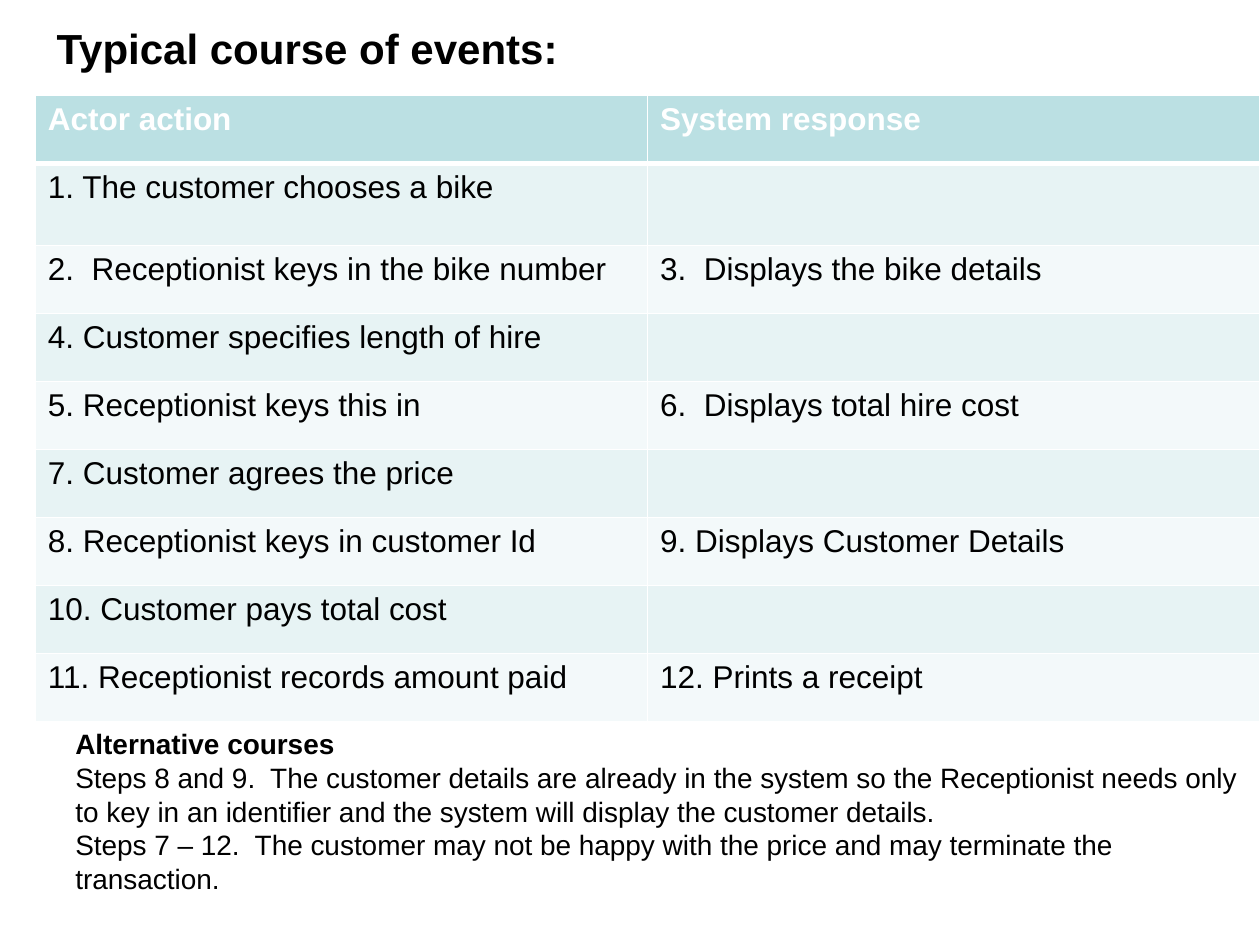
from lxml import etree
from pptx import Presentation
from pptx.dml.color import RGBColor
from pptx.enum.text import MSO_ANCHOR, PP_ALIGN
from pptx.oxml.ns import qn
from pptx.util import Inches, Pt

LEFT = PP_ALIGN.LEFT
MIDDLE = MSO_ANCHOR.MIDDLE
BLACK = RGBColor(0x00, 0x00, 0x00)
WHITE = RGBColor(0xFF, 0xFF, 0xFF)
HEADER_FILL = RGBColor(0xBB, 0xE0, 0xE3)
BAND_FILLS = [RGBColor(0xF3, 0xF9, 0xFA), RGBColor(0xE7, 0xF3, 0xF4)]
FONT = "Arial"

TITLE = "Typical course of events:"
EVENTS = [
    ("Actor action", "System response"),
    ("1. The customer chooses a bike", ""),
    ("2.  Receptionist keys in the bike number", "3.  Displays the bike details"),
    ("4. Customer specifies length of hire", ""),
    ("5. Receptionist keys this in", "6.  Displays total hire cost"),
    ("7. Customer agrees the price", ""),
    ("8. Receptionist keys in customer Id", "9. Displays Customer Details"),
    ("10. Customer pays total cost", ""),
    ("11. Receptionist records amount paid", "12. Prints a receipt"),
]
ALTERNATIVES = [
    "Alternative courses",
    "Steps 8 and 9.  The customer details are already in the system so the Receptionist "
    "needs only to key in an identifier and the system will display the customer details.",
    "Steps 7 – 12.  The customer may not be happy with the price and may terminate the "
    "transaction.",
]
ROW_HEIGHTS = [0.54, 0.65] + [0.54] * (len(EVENTS) - 2)
TABLE_LEFT, TABLE_TOP, COLUMN_WIDTH = 0.28, 0.76, 4.86


def format_paragraph(paragraph, size, bold, color=BLACK):
    paragraph.alignment = LEFT
    for run in paragraph.runs:
        run.font.name = FONT
        run.font.size = Pt(size)
        run.font.bold = bold
        run.font.color.rgb = color


def set_borders(cell, bottom_width):
    properties = cell._tc.get_or_add_tcPr()
    widths = {"a:lnL": 1, "a:lnR": 1, "a:lnT": 1, "a:lnB": bottom_width}
    for position, (tag, width) in enumerate(widths.items()):
        line = etree.Element(qn(tag), w=str(Pt(width)))
        fill = etree.SubElement(line, qn("a:solidFill"))
        etree.SubElement(fill, qn("a:srgbClr"), val=str(WHITE))
        properties.insert(position, line)


presentation = Presentation()
presentation.slide_width, presentation.slide_height = Inches(10), Inches(7.5)
slide = presentation.slides.add_slide(presentation.slide_layouts[5])

title = slide.shapes.title
title.left, title.top = Inches(0.35), Inches(0)
title.width, title.height = Inches(9.24), Inches(0.76)
title.text_frame.text = TITLE
title.text_frame.vertical_anchor = MIDDLE
format_paragraph(title.text_frame.paragraphs[0], 24, True)

table = slide.shapes.add_table(
    len(EVENTS), 2, Inches(TABLE_LEFT), Inches(TABLE_TOP),
    Inches(2 * COLUMN_WIDTH), Inches(sum(ROW_HEIGHTS)),
).table
for column in table.columns:
    column.width = Inches(COLUMN_WIDTH)
for row_index, texts in enumerate(EVENTS):
    is_header = row_index == 0
    table.rows[row_index].height = Inches(ROW_HEIGHTS[row_index])
    for column_index, text in enumerate(texts):
        cell = table.cell(row_index, column_index)
        cell.text_frame.text = text
        format_paragraph(cell.text_frame.paragraphs[0], 18, is_header,
                         WHITE if is_header else BLACK)
        cell.fill.solid()
        cell.fill.fore_color.rgb = HEADER_FILL if is_header else BAND_FILLS[row_index % 2]
        set_borders(cell, 3 if is_header else 1)

alternatives = slide.shapes.add_textbox(Inches(0), Inches(5.72), Inches(10), Inches(1.45))
text_frame = alternatives.text_frame
text_frame.word_wrap = True
text_frame.text = "\n".join(ALTERNATIVES)
for index, paragraph in enumerate(text_frame.paragraphs):
    format_paragraph(paragraph, 16, index == 0)
    paragraph._p.get_or_add_pPr().set("marL", str(Inches(0.5)))

presentation.save("out.pptx")
